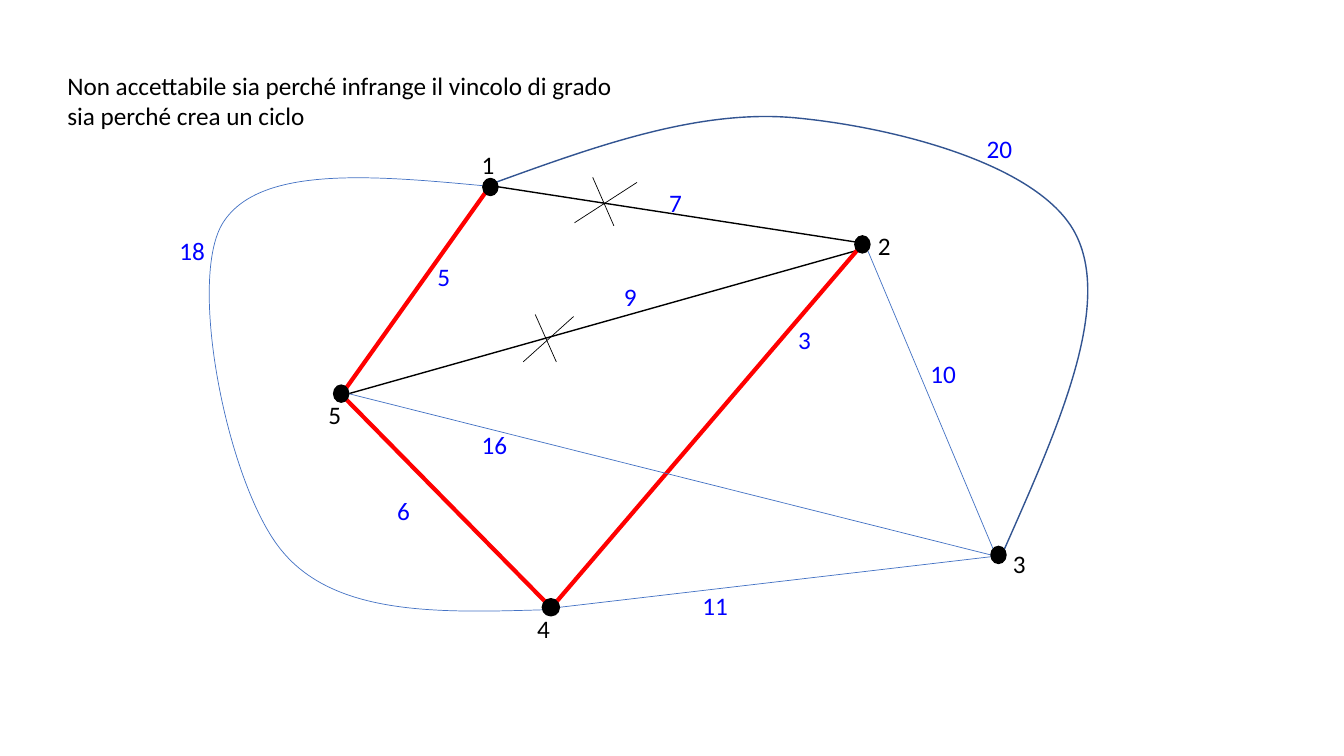
"""Weighted graph on five nodes, with the chosen path in red and two rejected edges."""
import math
from dataclasses import dataclass

from lxml import etree
from pptx import Presentation
from pptx import util as u
from pptx.dml.color import RGBColor
from pptx.enum import shapes, text
from pptx.oxml.ns import qn


@dataclass(frozen=True)
class Theme:
    """Colours, type and line sizes in points."""
    font: str = "Calibri"
    size: float = 18
    ink: str = "000000"
    weight: str = "0000FF"
    chosen: str = "FF0000"
    candidate: str = "4472C4"
    outer: str = "325491"
    hairline: float = 0.5
    thin: float = 1
    thick: float = 3


THEME = Theme()
LABEL_HEIGHT = 28.8
DIGIT_WIDTH = 9.2
LABEL_INSETS = 14.4

# Node: centre, dot width, label position
NODES = {
    "1": ((350.3, 133.6), 10.8, (337, 103)),
    "2": ((616, 174.6), 10.8, (620, 161.3)),
    "3": ((713.2, 396.4), 10.8, (716.4, 388)),
    "4": ((393.5, 433.8), 12.2, (376.6, 434.9)),
    "5": ((243.7, 281.2), 10.8, (227.5, 281.5)),
}
DOT_HEIGHT = 12.2

# Angles of the attachment sites on a dot, clockwise from the right
SITES = {"right": 0, "lower right": 45, "lower left": 135,
         "left": 180, "upper left": 225, "upper right": 315}

CANDIDATE = (THEME.candidate, THEME.hairline)
CHOSEN = (THEME.chosen, THEME.thick)
REJECTED = (THEME.ink, THEME.thin)
EDGES = [
    ("4", "right", "3", "right", CANDIDATE),
    ("1", "lower left", "5", "upper right", CHOSEN),
    ("1", "centre", "2", "centre", REJECTED),
    ("2", "lower right", "3", "upper left", CANDIDATE),
    ("5", "lower right", "4", "upper left", CHOSEN),
    ("5", "right", "2", "lower left", REJECTED),
    ("4", "upper right", "2", "lower left", CHOSEN),
    ("5", "right", "3", "left", CANDIDATE),
]

# Curved edge: frame (left, top, right, bottom), start, Bezier points, stroke
CURVES = [
    ((149.8, 126.7, 388.8, 436.3), (350.6, 133.2),
     [(267.1, 125.3), (183.6, 117.4), (158.4, 160.6),
      (133.9, 203.8), (163.4, 348.5), (201.6, 393.8),
      (239.8, 439.9), (313.9, 437.8), (388.1, 435.6)], CANDIDATE),
    ((352.1, 83.5, 776.9, 393.1), (352.1, 131),
     [(425.5, 104.4), (499, 77.8), (568.1, 84.2),
      (637.9, 90.7), (744.5, 117.4), (769, 168.5),
      (794.2, 220.3), (755.3, 306.7), (717.1, 393.1)], (THEME.outer, THEME.thin)),
]

WEIGHTS = [
    ("7", (470.9, 130.3)), ("5", (305.3, 182.9)), ("9", (438.5, 197.3)),
    ("3", (563, 228.2)), ("16", (337, 303.1)), ("11", (494.6, 418.3)),
    ("20", (697.7, 91.4)), ("18", (121, 164.2)), ("6", (276.5, 350.6)),
    ("10", (657.4, 252.7)),
]

CROSS_STROKES = [
    ((410.4, 159.1), (455, 130.3)), ((423.4, 126.7), (438.5, 161.3)),
    ((382.3, 224.6), (397.4, 258.5)), ((373.7, 258.5), (409.7, 226.1)),
]


def set_stroke(line, stroke):
    """Apply a (colour, width) stroke to a line format."""
    colour, width = stroke
    line.color.rgb = RGBColor.from_string(colour)
    line.width = u.Pt(width)


def add_text(slide, lines, position, size, *, colour=THEME.ink,
             font_size=THEME.size, font=THEME.font):
    """Add an unwrapped text box with one paragraph per line."""
    box = slide.shapes.add_textbox(*map(u.Pt, (*position, *size)))
    frame = box.text_frame
    frame.word_wrap = False
    frame.auto_size = text.MSO_AUTO_SIZE.SHAPE_TO_FIT_TEXT
    frame.text = "\n".join(lines)
    for paragraph in frame.paragraphs:
        for run in paragraph.runs:
            run.font.name = font
            run.font.size = u.Pt(font_size)
            run.font.color.rgb = RGBColor.from_string(colour)


def add_label(slide, label, position, colour):
    """Add a number in a box as wide as its digits."""
    width = LABEL_INSETS + DIGIT_WIDTH * len(label)
    add_text(slide, [label], position, (width, LABEL_HEIGHT), colour=colour)


def add_line(slide, start, end, stroke):
    """Add a straight line without a shadow."""
    connector = slide.shapes.add_connector(
        shapes.MSO_CONNECTOR.STRAIGHT, *map(u.Pt, (*start, *end)))
    set_stroke(connector.line, stroke)
    etree.SubElement(connector._element.spPr, qn("a:effectLst"))


def site_point(node, site):
    """Return the point where an edge meets a node's dot."""
    (x, y), width, _ = NODES[node]
    if site == "centre":
        return x, y - 1
    angle = math.radians(SITES[site])
    return x + width / 2 * math.cos(angle), y + DOT_HEIGHT / 2 * math.sin(angle)


def add_node(slide, centre, width):
    """Add a black dot around a centre."""
    x, y = centre
    dot = slide.shapes.add_shape(
        shapes.MSO_SHAPE.OVAL, u.Pt(x - width / 2), u.Pt(y - DOT_HEIGHT / 2),
        u.Pt(width), u.Pt(DOT_HEIGHT))
    dot.shadow.inherit = False
    dot.fill.solid()
    dot.fill.fore_color.rgb = RGBColor.from_string(THEME.ink)
    set_stroke(dot.line, (THEME.ink, THEME.thin))


def add_curve(slide, frame, start, bezier_points, stroke):
    """Add an open freeform of cubic segments that fills the given frame."""
    left, top, right, bottom = map(u.Pt, frame)
    builder = slide.shapes.build_freeform(left, top)
    builder.add_line_segments([(right, bottom)], close=False)
    curve = builder.convert_to_shape()
    curve.shadow.inherit = False
    curve.fill.background()
    set_stroke(curve.line, stroke)

    outline = next(curve._element.iter(qn("a:path")))
    outline.set("fill", "none")
    for child in list(outline):
        outline.remove(child)
    segments = [("a:moveTo", [start])]
    segments += [("a:cubicBezTo", bezier_points[i:i + 3])
                 for i in range(0, len(bezier_points), 3)]
    for tag, points in segments:
        segment = etree.SubElement(outline, qn(tag))
        for x, y in points:
            etree.SubElement(segment, qn("a:pt"),
                             x=str(u.Pt(x) - left), y=str(u.Pt(y) - top))


def main():
    """Build the slide and save it."""
    presentation = Presentation()
    presentation.slide_width, presentation.slide_height = u.Pt(960), u.Pt(540)
    slide = presentation.slides.add_slide(presentation.slide_layouts[6])

    for start, start_site, end, end_site, stroke in EDGES:
        add_line(slide, site_point(start, start_site), site_point(end, end_site), stroke)
    for curve in CURVES:
        add_curve(slide, *curve)
    for label, (centre, width, position) in NODES.items():
        add_node(slide, centre, width)
        add_label(slide, label, position, THEME.ink)
    for label, position in WEIGHTS:
        add_label(slide, label, position, THEME.weight)
    for start, end in CROSS_STROKES:
        add_line(slide, start, end, (THEME.ink, THEME.hairline))
    add_text(slide, ["Non accettabile sia perché infrange il vincolo di grado",
                     "sia perché crea un ciclo"], (41, 46.8), (409, 51))

    presentation.save("out.pptx")


main()
